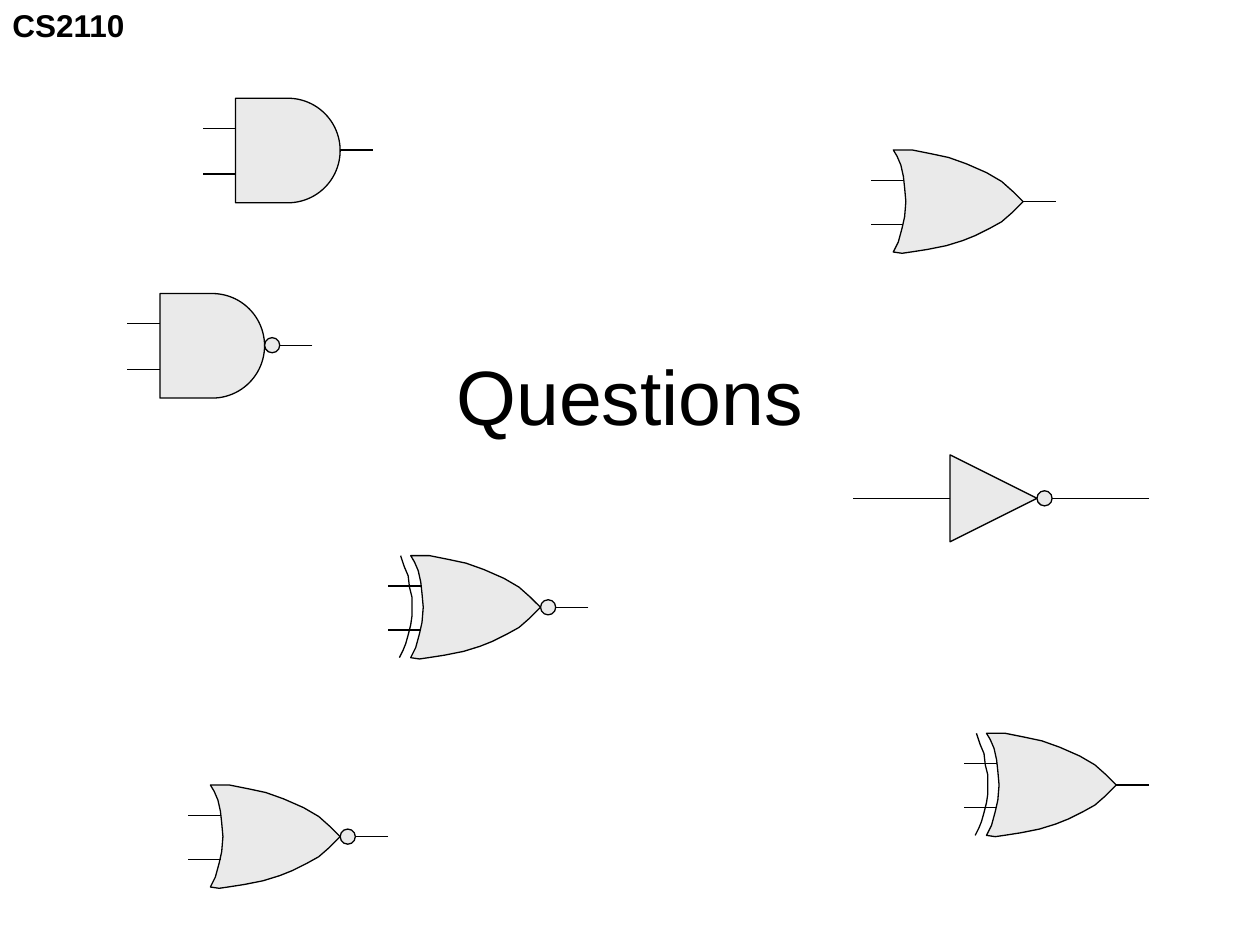
"""Build the Questions slide, decorated with the seven logic gates."""
import lxml.etree
import pptx
import pptx.dml.color
import pptx.enum.shapes
import pptx.enum.text
import pptx.oxml.ns
import pptx.util

Inches = pptx.util.Inches
COLORS = {"ink": "000000", "gate": "EAEAEA"}
BUBBLE = 0.12
OR_OUTLINE = [
    (0, 0), (0.15, 0), (0.3, 0.03), (0.44, 0.06), (0.58, 0.11), (0.74, 0.18),
    (0.86, 0.25), (0.95, 0.33), (1.03, 0.41), (0.94, 0.5), (0.86, 0.57),
    (0.77, 0.62), (0.65, 0.68), (0.55, 0.72), (0.42, 0.76), (0.27, 0.79),
    (0.14, 0.81), (0.07, 0.82), (0, 0.81), (0.04, 0.73), (0.07, 0.62),
    (0.09, 0.53), (0.1, 0.41), (0.09, 0.3), (0.08, 0.21), (0.06, 0.12), (0.03, 0.05),
]
XOR_ARC = [
    (-0.09, 0.81), (-0.06, 0.75), (-0.04, 0.7), (-0.02, 0.63), (0, 0.55),
    (0.01, 0.48), (0.01, 0.41), (0.01, 0.33), (-0.01, 0.25), (-0.02, 0.16),
    (-0.05, 0.09), (-0.07, 0.03), (-0.08, 0),
]
NOT_SIZE = 0.69
NOT_OUTLINE = [(0, 0), (0, NOT_SIZE), (NOT_SIZE, NOT_SIZE / 2)]


class GateSlide:
    """Hold the style and the slide, and draw each kind of element."""

    def __init__(self, slide, font="Arial", line_width=0.75):
        self.slide = slide
        self.font = font
        self.line_width = line_width

    def color(self, name):
        return pptx.dml.color.RGBColor.from_string(COLORS[name])

    def set_text(self, text_frame, text, size, bold=False):
        text_frame.text = text
        paragraph = text_frame.paragraphs[0]
        paragraph.font.name = self.font
        paragraph.font.size = pptx.util.Pt(size)
        paragraph.font.bold = bold
        paragraph.font.color.rgb = self.color("ink")
        return paragraph

    def title(self, text, left, top, width, height):
        shape = self.slide.shapes.title
        shape.left, shape.top = Inches(left), Inches(top)
        shape.width, shape.height = Inches(width), Inches(height)
        paragraph = self.set_text(shape.text_frame, text, 44)
        paragraph.alignment = pptx.enum.text.PP_ALIGN.CENTER
        shape.text_frame.vertical_anchor = pptx.enum.text.MSO_ANCHOR.MIDDLE

    def label(self, text, left, top, width, height):
        shape = self.slide.shapes.add_textbox(
            Inches(left), Inches(top), Inches(width), Inches(height))
        shape.text_frame.word_wrap = False
        shape.text_frame.auto_size = pptx.enum.text.MSO_AUTO_SIZE.SHAPE_TO_FIT_TEXT
        self.set_text(shape.text_frame, text, 18, bold=True)

    def outline(self, shape):
        shape.line.color.rgb = self.color("ink")
        shape.line.width = pptx.util.Pt(self.line_width)

    def paint(self, shape, filled=True):
        shape.shadow.inherit = False
        if filled:
            shape.fill.solid()
            shape.fill.fore_color.rgb = self.color("gate")
        else:
            shape.fill.background()
        self.outline(shape)

    def preset(self, group, kind, left, top, size):
        self.paint(group.shapes.add_shape(
            kind, Inches(left), Inches(top), Inches(size), Inches(size)))

    def freeform(self, group, left, top, points, closed=True):
        start, *rest = [(Inches(left + x), Inches(top + y)) for x, y in points]
        builder = group.shapes.build_freeform(*start)
        builder.add_line_segments(rest, close=closed)
        self.paint(builder.convert_to_shape(), filled=closed)

    def wire(self, group, start, end, y):
        connector = group.shapes.add_connector(
            pptx.enum.shapes.MSO_CONNECTOR.STRAIGHT,
            Inches(start), Inches(y), Inches(end), Inches(y))
        self.outline(connector)
        properties = connector._element.spPr
        lxml.etree.SubElement(properties, pptx.oxml.ns.qn("a:effectLst"))

    def leads(self, group, left, top, inputs, input_x, tip, middle, length, inverted):
        if inverted:
            self.preset(group, pptx.enum.shapes.MSO_SHAPE.OVAL,
                        left + tip, top + middle - BUBBLE / 2, BUBBLE)
            tip += BUBBLE
        for y in inputs:
            self.wire(group, left + input_x, left + input_x - length, top + y)
        self.wire(group, left + tip + length, left + tip, top + middle)

    def and_gate(self, left, top, inverted=False):
        group = self.slide.shapes.add_group_shape()
        self.preset(group, pptx.enum.shapes.MSO_SHAPE.FLOWCHART_DELAY, left, top, 0.83)
        self.leads(group, left, top, (0.24, 0.6), 0, 0.83, 0.41, 0.26, inverted)

    def or_gate(self, left, top, inverted=False, exclusive=False):
        group = self.slide.shapes.add_group_shape()
        if exclusive:
            self.freeform(group, left, top, XOR_ARC, closed=False)
        self.freeform(group, left, top, OR_OUTLINE)
        self.leads(group, left, top, (0.24, 0.59), 0.08, 1.03, 0.41, 0.26, inverted)

    def not_gate(self, left, top):
        group = self.slide.shapes.add_group_shape()
        self.freeform(group, left, top, NOT_OUTLINE)
        middle = NOT_SIZE / 2
        self.leads(group, left, top, (middle,), 0, NOT_SIZE, middle, 0.77, inverted=True)


def main():
    presentation = pptx.Presentation()
    presentation.slide_width, presentation.slide_height = Inches(10), Inches(7.5)
    slide = presentation.slides.add_slide(presentation.slide_layouts[0])
    subtitle = slide.placeholders[1]._element
    subtitle.getparent().remove(subtitle)

    page = GateSlide(slide)
    page.label("CS2110", 0, 0, 1.1, 0.4)
    page.title("Questions", 0.75, 2.33, 8.5, 1.61)
    page.not_gate(7.54, 3.61)
    page.or_gate(1.67, 6.23, inverted=True)
    page.and_gate(1.27, 2.33, inverted=True)
    page.or_gate(7.09, 1.19)
    page.and_gate(1.87, 0.78)
    page.or_gate(7.83, 5.82, exclusive=True)
    page.or_gate(3.26, 4.41, inverted=True, exclusive=True)
    presentation.save("out.pptx")


if __name__ == "__main__":
    main()
